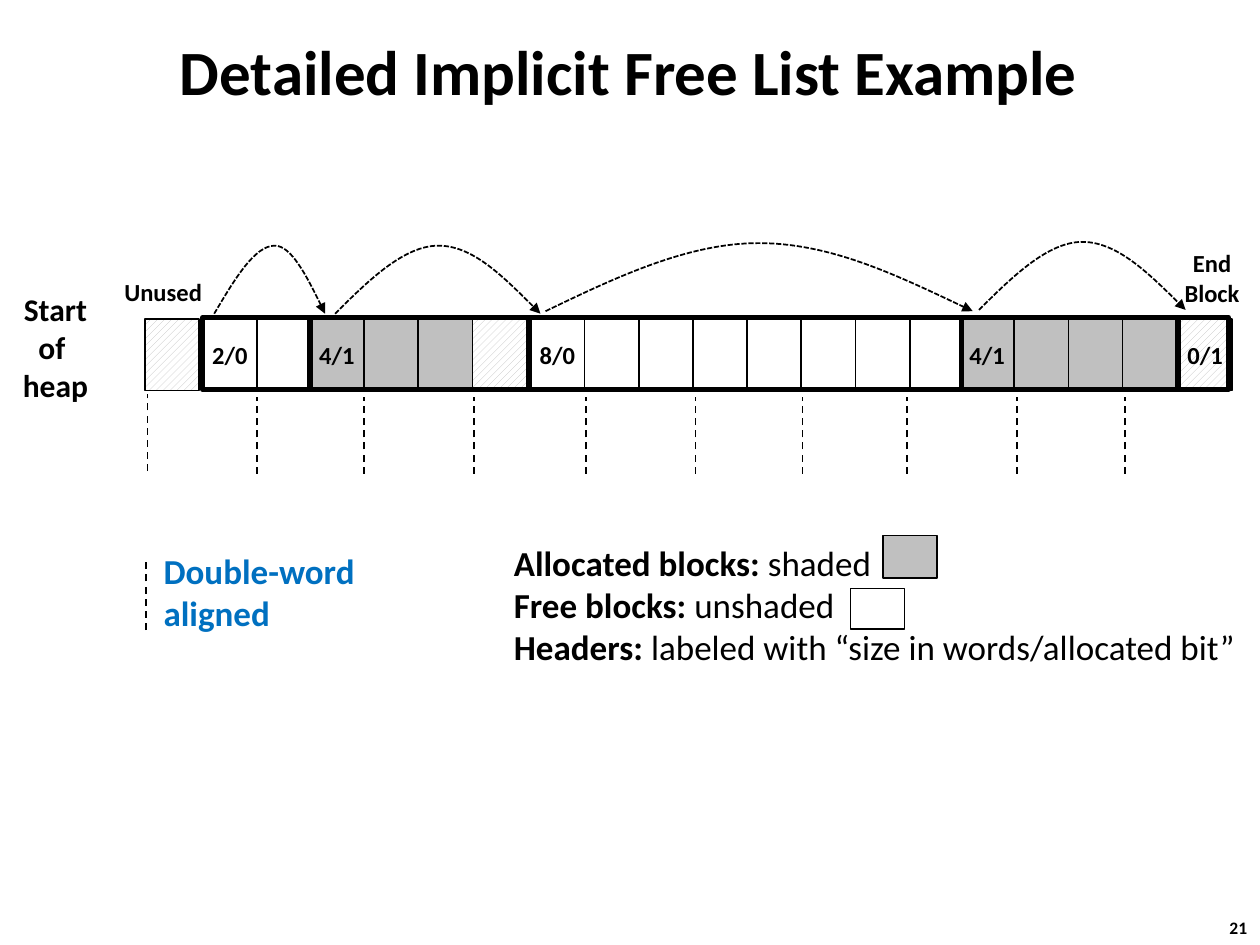
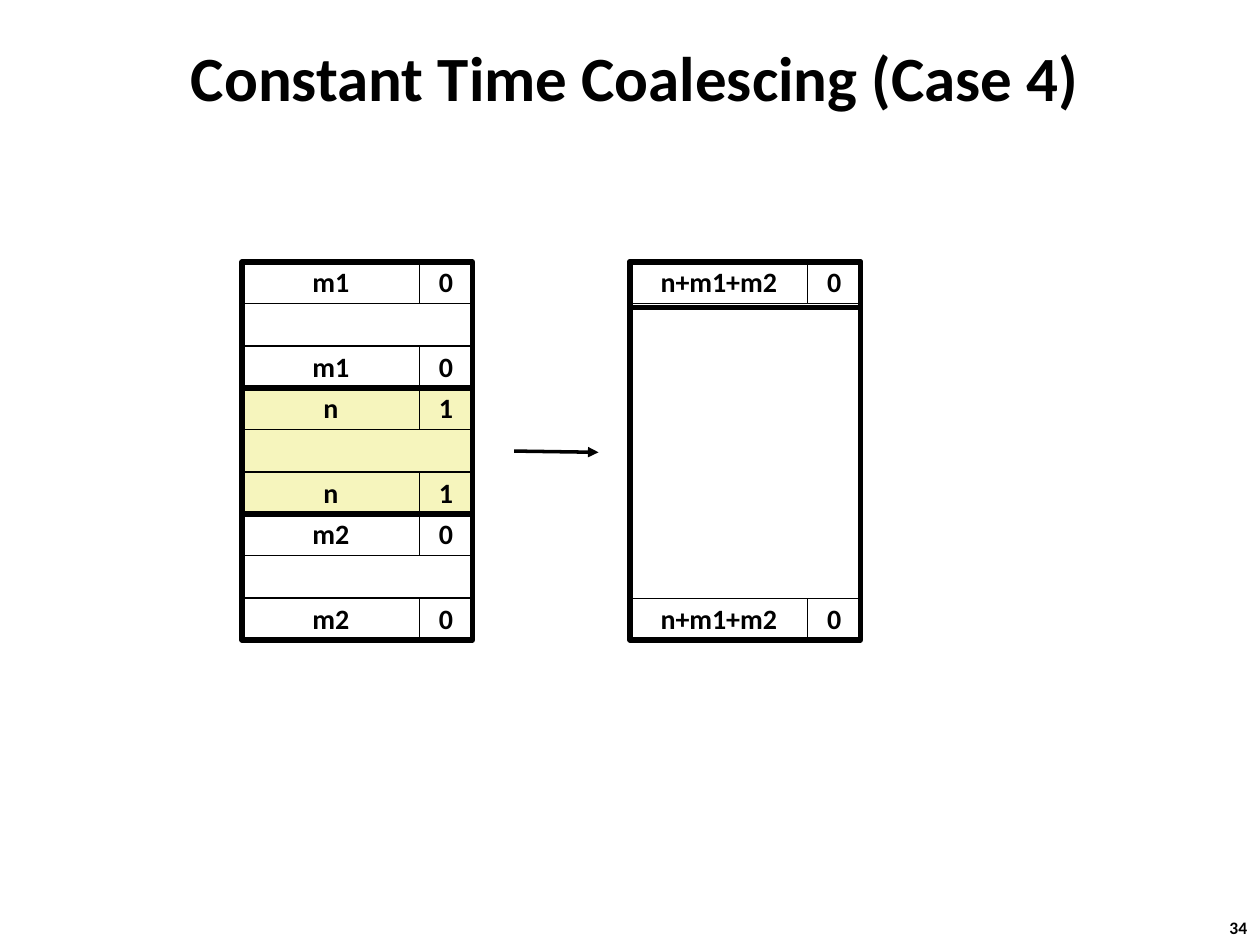
from dataclasses import dataclass
from itertools import pairwise

from lxml.etree import SubElement
from pptx import Presentation
from pptx.dml.color import RGBColor
from pptx.enum.dml import MSO_LINE, MSO_PATTERN
from pptx.enum.shapes import MSO_CONNECTOR, MSO_SHAPE
from pptx.enum.text import MSO_ANCHOR, MSO_AUTO_SIZE, PP_ALIGN
from pptx.oxml.ns import qn
from pptx.util import Pt

# Shared look: 100 px to the inch
PX = 9144
FONT = "Calibri"
BLACK, WHITE, GREY = "000000", "FFFFFF", "C0C0C0"
BLUE, YELLOW = "0070C0", "F6F5BD"
HATCH = "hatch"
THIN, THICK = 1, 3

# Heap row
CELL_TOP, CELL_W, CELL_H = 253, 43, 57
OUTLINE_TOP = 252
OUTLINE_EDGES = [161, 246, 420, 763, 935, 975]
ALIGNED_X = [204, 289, 376, 465, 552, 637, 720, 807, 893]

# Block columns
COLUMN_TOP, ROW_H = 208, 100 / 3
SIZE_W, TAG_W = 141, 42
COLUMN_W = SIZE_W + TAG_W


@dataclass
class Box:
    left: int
    top: int
    width: int
    height: int

    def emu(self) -> list[int]:
        return [v * PX for v in (self.left, self.top, self.width, self.height)]


@dataclass
class HeapBlock:
    start: int
    header: str
    fills: list[str]


@dataclass
class Jump:
    start: int
    apex: int
    end: int
    base: int


@dataclass
class Label:
    box: Box
    lines: list[str]
    size: int
    color: str = BLACK
    align: PP_ALIGN = PP_ALIGN.CENTER
    wrap: bool = False
    anchor: MSO_ANCHOR = MSO_ANCHOR.MIDDLE


@dataclass
class TaggedBlock:
    first_row: int
    size: str
    tag: str
    fill: str


HEAP = [
    HeapBlock(115, "", [HATCH]),
    HeapBlock(161, "2/0", [WHITE] * 2),
    HeapBlock(246, "4/1", [GREY] * 3 + [HATCH]),
    HeapBlock(421, "8/0", [WHITE] * 8),
    HeapBlock(762, "4/1", [GREY] * 4),
    HeapBlock(935, "0/1", [HATCH]),
]
JUMPS = [
    Jump(170, 218, 258, 249),
    Jump(266, 348, 429, 249),
    Jump(433, 602, 772, 247),
    Jump(777, 859, 941, 246),
]
HEAP_LABELS = [
    Label(Box(8, 225, 72, 101), ["Start ", "of ", "heap"], 18),
    Label(Box(84, 213, 91, 37), ["Unused"], 14),
    Label(Box(930, 192, 64, 57), ["End", "Block"], 14),
    Label(Box(120, 431, 204, 77), ["Double-word", "aligned"], 20, BLUE,
          PP_ALIGN.LEFT, wrap=True),
]
LEGEND = [
    ("Allocated blocks: ", "shaded"),
    ("Free blocks: ", "unshaded"),
    ("Headers: ", "labeled with “size in words/allocated bit”"),
]
BEFORE = [
    TaggedBlock(0, "m1", "0", WHITE),
    TaggedBlock(3, "n", "1", YELLOW),
    TaggedBlock(6, "m2", "0", WHITE),
]


def rgb(color: str) -> RGBColor:
    return RGBColor.from_string(color)


# Text
def style_run(run, size: int, color: str = BLACK, bold: bool = True) -> None:
    run.font.name = FONT
    run.font.size = Pt(size)
    run.font.bold = bold
    run.font.color.rgb = rgb(color)


def style_frame(frame, size: int, color: str = BLACK,
                align: PP_ALIGN = PP_ALIGN.CENTER, wrap: bool = False,
                anchor: MSO_ANCHOR = MSO_ANCHOR.MIDDLE) -> None:
    frame.word_wrap = wrap
    frame.vertical_anchor = anchor
    for paragraph in frame.paragraphs:
        paragraph.alignment = align
        for run in paragraph.runs:
            style_run(run, size, color)


def add_label(slide, label: Label) -> None:
    frame = slide.shapes.add_textbox(*label.box.emu()).text_frame
    frame.text = "\n".join(label.lines)
    style_frame(frame, label.size, label.color, label.align, label.wrap, label.anchor)
    frame.auto_size = MSO_AUTO_SIZE.SHAPE_TO_FIT_TEXT


def add_titled_slide(deck, title: str, box: Box, number: str):
    slide = deck.slides.add_slide(deck.slide_layouts[5])
    heading = slide.shapes.title
    heading.left, heading.top, heading.width, heading.height = box.emu()
    heading.text_frame.text = title
    style_frame(heading.text_frame, 36, wrap=True)
    heading.text_frame.auto_size = MSO_AUTO_SIZE.NONE
    add_label(slide, Label(Box(966, 723, 37, 27), [number], 10,
                           align=PP_ALIGN.LEFT, anchor=MSO_ANCHOR.TOP))
    return slide


# Shapes and lines
def style_line(line, width: float, dash: MSO_LINE | None = None) -> None:
    line.color.rgb = rgb(BLACK)
    line.width = Pt(width)
    if dash is not None:
        line.dash_style = dash


def add_arrowhead(shape) -> None:
    SubElement(shape.line._get_or_add_ln(), qn("a:tailEnd"), type="triangle")


def add_box(slide, box: Box, fill: str | None, width: float = THIN,
            text: str = "", size: int = 14, spacing: float = 1.0) -> None:
    shape = slide.shapes.add_shape(MSO_SHAPE.RECTANGLE, *box.emu())
    shape.shadow.inherit = False
    if fill is None:
        shape.fill.background()
    elif fill == HATCH:
        shape.fill.patterned()
        shape.fill.pattern = MSO_PATTERN.WIDE_UPWARD_DIAGONAL
        shape.fill.fore_color.rgb = rgb(GREY)
        shape.fill.back_color.rgb = rgb(WHITE)
    else:
        shape.fill.solid()
        shape.fill.fore_color.rgb = rgb(fill)
    style_line(shape.line, width)
    if text:
        shape.text_frame.text = text
        style_frame(shape.text_frame, size)
        shape.text_frame.paragraphs[0].line_spacing = spacing


def add_line(slide, start: tuple[int, int], end: tuple[int, int],
             width: float = THIN, dash: MSO_LINE | None = None):
    points = [v * PX for v in (*start, *end)]
    line = slide.shapes.add_connector(MSO_CONNECTOR.STRAIGHT, *points)
    style_line(line.line, width, dash)
    SubElement(line._element.spPr, qn("a:effectLst"))
    return line


def add_jump(slide, jump: Jump) -> None:
    rise = 54
    middle, top = jump.base - rise // 2, jump.base - rise
    up, down = (jump.apex - jump.start) / 3, (jump.end - jump.apex) / 3
    builder = slide.shapes.build_freeform(jump.start, jump.base, scale=PX)
    builder.add_line_segments([
        (round(jump.start + up), middle), (round(jump.apex - up), top), (jump.apex, top),
        (round(jump.apex + down), top), (round(jump.end - down), middle),
        (jump.end, jump.base),
    ], close=False)
    arc = builder.convert_to_shape()
    # Each three straight segments become one Bézier curve
    outline = next(arc._element.iter(qn("a:path")))
    segments = outline.findall(qn("a:lnTo"))
    for half in (segments[:3], segments[3:]):
        curve = SubElement(outline, qn("a:cubicBezTo"))
        for segment in half:
            curve.append(segment[0])
            outline.remove(segment)
    arc.shadow.inherit = False
    arc.fill.background()
    style_line(arc.line, THIN, MSO_LINE.SQUARE_DOT)
    add_arrowhead(arc)


# Slide: implicit free list
def build_free_list(deck) -> None:
    slide = add_titled_slide(deck, "Detailed Implicit Free List Example",
                             Box(84, 14, 830, 83), "21")
    for block in HEAP:
        for word, fill in enumerate(block.fills):
            cell = Box(block.start + word * CELL_W, CELL_TOP, CELL_W, CELL_H)
            add_box(slide, cell, fill, text="" if word else block.header)
    for left, right in pairwise(OUTLINE_EDGES):
        add_box(slide, Box(left, OUTLINE_TOP, right - left, CELL_H), None, THICK)
    for jump in JUMPS:
        add_jump(slide, jump)

    # Double-word boundaries and their key
    for x in ALIGNED_X:
        add_line(slide, (x, 376), (x, 315), dash=MSO_LINE.DASH)
    add_line(slide, (117, 374), (117, 313), dash=MSO_LINE.DASH)
    add_line(slide, (116, 500), (116, 445), dash=MSO_LINE.DASH)
    for label in HEAP_LABELS:
        add_label(slide, label)

    # Legend
    legend = slide.shapes.add_textbox(*Box(398, 425, 597, 111).emu()).text_frame
    legend.word_wrap = False
    legend.auto_size = MSO_AUTO_SIZE.SHAPE_TO_FIT_TEXT
    for index, (term, meaning) in enumerate(LEGEND):
        entry = legend.add_paragraph() if index else legend.paragraphs[0]
        entry.text = term
        entry.add_run().text = meaning
        for run, bold in zip(entry.runs, (True, False)):
            style_run(run, 20, bold=bold)
    add_box(slide, Box(701, 425, CELL_W, 34), GREY)
    add_box(slide, Box(675, 467, CELL_W, 32), WHITE)


# Slide: coalescing
def row_top(row: int) -> int:
    return COLUMN_TOP + round(row * ROW_H)


def add_tag_row(slide, left: int, row: int, size: str, tag: str, fill: str) -> None:
    top, height = row_top(row), round(ROW_H)
    for x, width, text in ((left, SIZE_W, size), (left + SIZE_W, TAG_W, tag)):
        add_box(slide, Box(x, top, width, height), fill, 0.25, text, 16, 0.98)


def build_coalescing(deck) -> None:
    slide = add_titled_slide(deck, "Constant Time Coalescing (Case 4)",
                             Box(50, 29, 908, 63), "34")
    # Three neighbouring blocks before
    left = 192
    for block in BEFORE:
        first = block.first_row
        add_tag_row(slide, left, first, block.size, block.tag, block.fill)
        add_box(slide, Box(left, row_top(first + 1), COLUMN_W, round(ROW_H)),
                block.fill, 0.25)
        add_tag_row(slide, left, first + 2, block.size, block.tag, block.fill)
        add_box(slide, Box(left, row_top(first), COLUMN_W, 100), None, THICK)

    add_arrowhead(add_line(slide, (408, 358), (475, 359), 2))

    # One merged block after
    left = 500
    add_box(slide, Box(left, COLUMN_TOP, COLUMN_W, 36), None, THICK)
    for row in (0, 8):
        add_tag_row(slide, left, row, "n+m1+m2", "0", WHITE)
    add_box(slide, Box(left, COLUMN_TOP, COLUMN_W, 300), None, THICK)


def main() -> None:
    deck = Presentation()
    deck.slide_width, deck.slide_height = 1000 * PX, 750 * PX
    build_free_list(deck)
    build_coalescing(deck)
    deck.save("out.pptx")


if __name__ == "__main__":
    main()
